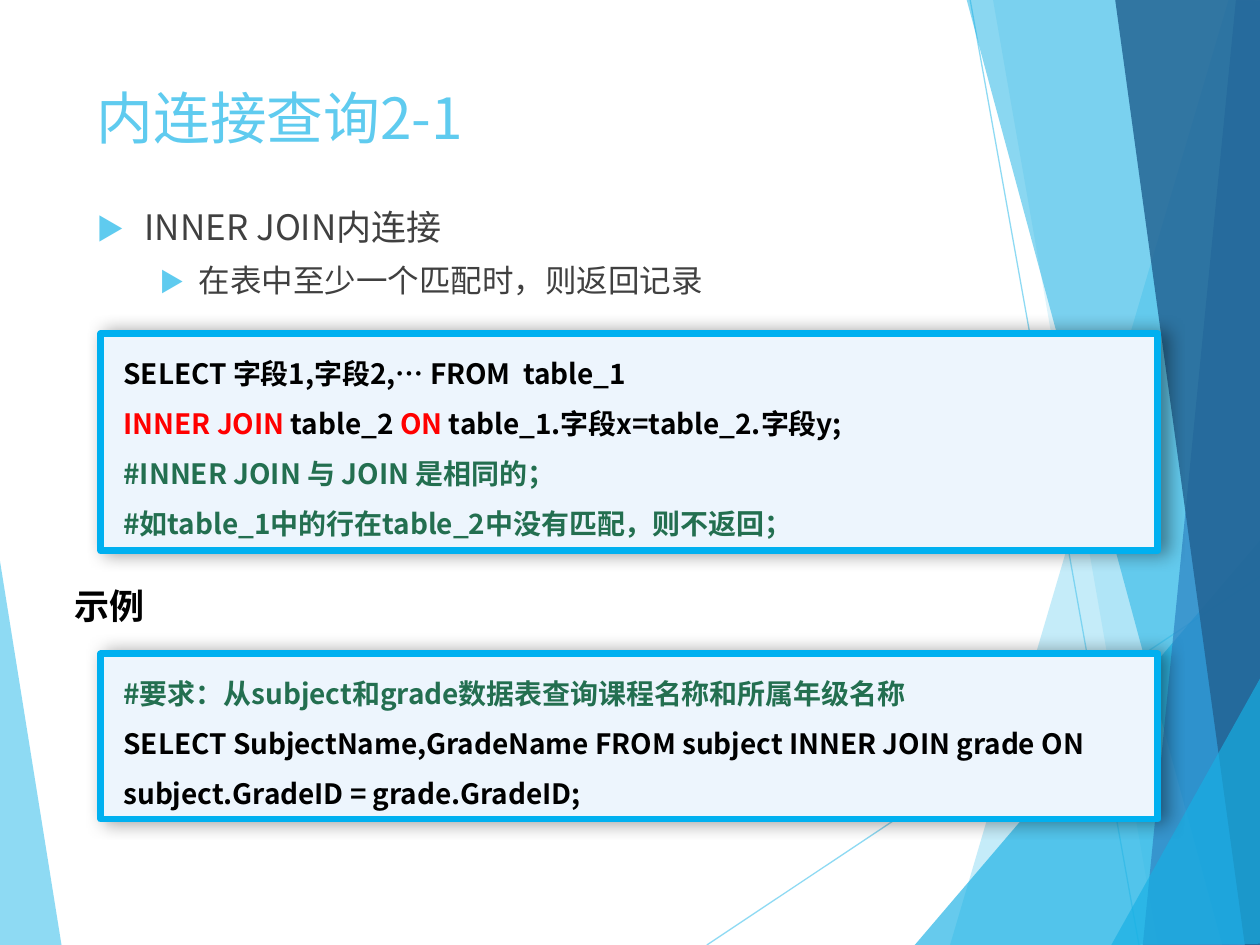
from lxml.etree import SubElement as Sub
from pptx import Presentation
from pptx.dml.color import RGBColor as Rgb
from pptx.enum.shapes import MSO_CONNECTOR as Link, MSO_SHAPE as Kind
from pptx.enum.text import MSO_ANCHOR as Anchor, PP_ALIGN as Align
from pptx.oxml.ns import qn
from pptx.util import Cm, Pt

FONT = "Noto Sans CJK SC"
SKY = Rgb(0x5F, 0xCB, 0xEF)
CYAN = Rgb(0x17, 0xB0, 0xE4)
BLUE = Rgb(0x2E, 0x83, 0xC3)
NAVY = Rgb(0x22, 0x62, 0x92)
GRAY = Rgb(0x40, 0x40, 0x40)
BLACK = Rgb(0, 0, 0)
RED = Rgb(0xFF, 0, 0)
GREEN = Rgb(0x23, 0x6F, 0x50)
PALE = Rgb(0xED, 0xF5, 0xFD)
EDGE = Rgb(0, 0xB0, 0xF0)

FACETS = [
    (SKY, 70, [(-0.01, 4.39), (0.49, 7.51), (-0.01, 7.5)]),
    (SKY, 36, [(9.75, 0), (7.54, 7.5), (10.02, 7.51), (10.01, 0.01)]),
    (SKY, 20, [(7.88, -0.01), (9.19, 7.5), (10.01, 7.5), (10.01, -0.01)]),
    (CYAN, 66, [(7.26, 7.5), (10, 4.29), (10.01, 7.5)]),
    (CYAN, 50, [(7.67, -0.01), (9.7, 7.5), (10.01, 7.49), (10.01, -0.01)]),
    (BLUE, 70, [(9.81, -0.01), (9.07, 7.5), (10.01, 7.5), (10, -0.01)]),
    (NAVY, 82, [(8.85, -0.01), (9.88, 7.5), (10.02, 7.5), (10, -0.01)]),
    (CYAN, 66, [(8.82, 7.5), (10.02, 5.35), (10.02, 7.49)]),
]
RAYS = [((5.61, 7.5), (10.01, 4.57)), ((7.7, 0), (9.04, 7.5))]

SYNTAX = [
    [("SELECT 字段1,字段2,… FROM  table_1 ", BLACK)],
    [("INNER JOIN", RED), (" table_2 ", BLACK), ("ON", RED),
     (" table_1.字段x=table_2.字段y;", BLACK)],
    [("#INNER JOIN 与 JOIN 是相同的；", GREEN)],
    [("#如table_1中的行在table_2中没有匹配，则不返回；", GREEN)],
]
SAMPLE = [
    [("#要求：从subject和grade数据表查询课程名称和所属年级名称", GREEN)],
    [("SELECT SubjectName,GradeName FROM subject INNER JOIN grade ON "
      "subject.GradeID = grade.GradeID;  ", BLACK)],
]


def inch(*vals):
    return [Cm(val * 2.54) for val in vals]


def fade(item, part):
    for clr in item.iter(qn("a:srgbClr")):
        Sub(clr, qn("a:alpha"), val=str(part * 1000))


def facet(slide, color, part, spots):
    spots = [inch(*spot) for spot in spots]
    pen = slide.shapes.build_freeform(*spots[0])
    pen.add_line_segments(spots[1:], close=True)
    shape = pen.convert_to_shape()
    shape.shadow.inherit = False
    shape.fill.solid()
    shape.fill.fore_color.rgb = color
    shape.line.fill.background()
    fade(shape.element.spPr, part)


def ray(slide, start, end):
    line = slide.shapes.add_connector(Link.STRAIGHT, *inch(*start, *end))
    line.line.color.rgb = SKY
    line.line.width = Pt(0.75)
    fade(line.element.spPr, 70)
    Sub(line.element.spPr, qn("a:effectLst"))


def style(run, size, color, bold=False):
    run.font.size = Pt(size)
    run.font.name = FONT
    run.font.bold = bold
    run.font.color.rgb = color
    Sub(run.font._element, qn("a:ea"), typeface=FONT)


def label(slide, spot, rows, size, color, bold=False, wrap=True):
    frame = slide.shapes.add_textbox(*inch(*spot)).text_frame
    frame.word_wrap = wrap
    frame.text = "\n".join(rows)
    for para in frame.paragraphs:
        para.line_spacing = 0.9
        style(para.runs[0], size, color, bold)
    return frame


def bullet(para, left, hang):
    para.space_before = Pt(10)
    props = para._p.get_or_add_pPr()
    props.set("marL", str(inch(left)[0]))
    props.set("indent", str(-inch(hang)[0]))
    tint = Sub(props, qn("a:buClr"))
    Sub(tint, qn("a:srgbClr"), val=str(SKY))
    Sub(props, qn("a:buSzPct"), val="80000")
    Sub(props, qn("a:buFont"), typeface=FONT)
    Sub(props, qn("a:buChar"), char="▶")


def shade(shape):
    shape.shadow.inherit = False
    glow = Sub(shape.element.spPr.find(qn("a:effectLst")), qn("a:outerShdw"),
               blurRad=str(Pt(10)), dist=str(Pt(3)), dir="0")
    tint = Sub(glow, qn("a:srgbClr"), val=str(BLACK))
    Sub(tint, qn("a:alpha"), val="40000")


def panel(slide, top, high, rows):
    box = slide.shapes.add_shape(Kind.ROUNDED_RECTANGLE, *inch(0.8, top, 8.39, high))
    box.adjustments[0] = 0
    box.fill.solid()
    box.fill.fore_color.rgb = PALE
    box.line.color.rgb = EDGE
    box.line.width = Pt(4)
    shade(box)
    frame = box.text_frame
    frame.word_wrap = True
    frame.vertical_anchor = Anchor.TOP
    frame.margin_left = inch(0.18)[0]
    for num, row in enumerate(rows):
        para = frame.add_paragraph() if num else frame.paragraphs[0]
        para.alignment = Align.LEFT
        para.line_spacing = Pt(28.6)
        for text, color in row:
            run = para.add_run()
            run.text = text
            style(run, 16, color, True)


def main():
    deck = Presentation()
    deck.slide_width, deck.slide_height = inch(10, 7.5)
    slide = deck.slides.add_slide(deck.slide_layouts[6])
    facet(slide, *FACETS[0])
    for ends in RAYS:
        ray(slide, *ends)
    for part in FACETS[1:]:
        facet(slide, *part)
    label(slide, (0.67, 0.67, 8.43, 0.71), ["内连接查询2-1"], 32.4, SKY)
    body = label(slide, (0.67, 1.62, 8.43, 4.82),
                 ["INNER JOIN内连接", "在表中至少一个匹配时，则返回记录"], 20, GRAY)
    first, second = body.paragraphs
    second.level = 1
    second.runs[0].font.size = Pt(18)
    bullet(first, 0.38, 0.38)
    bullet(second, 0.81, 0.31)
    panel(slide, 2.65, 1.72, SYNTAX)
    label(slide, (0.49, 4.63, 0.77, 0.44), ["示例"], 20, BLACK, True, False)
    panel(slide, 5.19, 1.31, SAMPLE)
    deck.save("out.pptx")


main()
